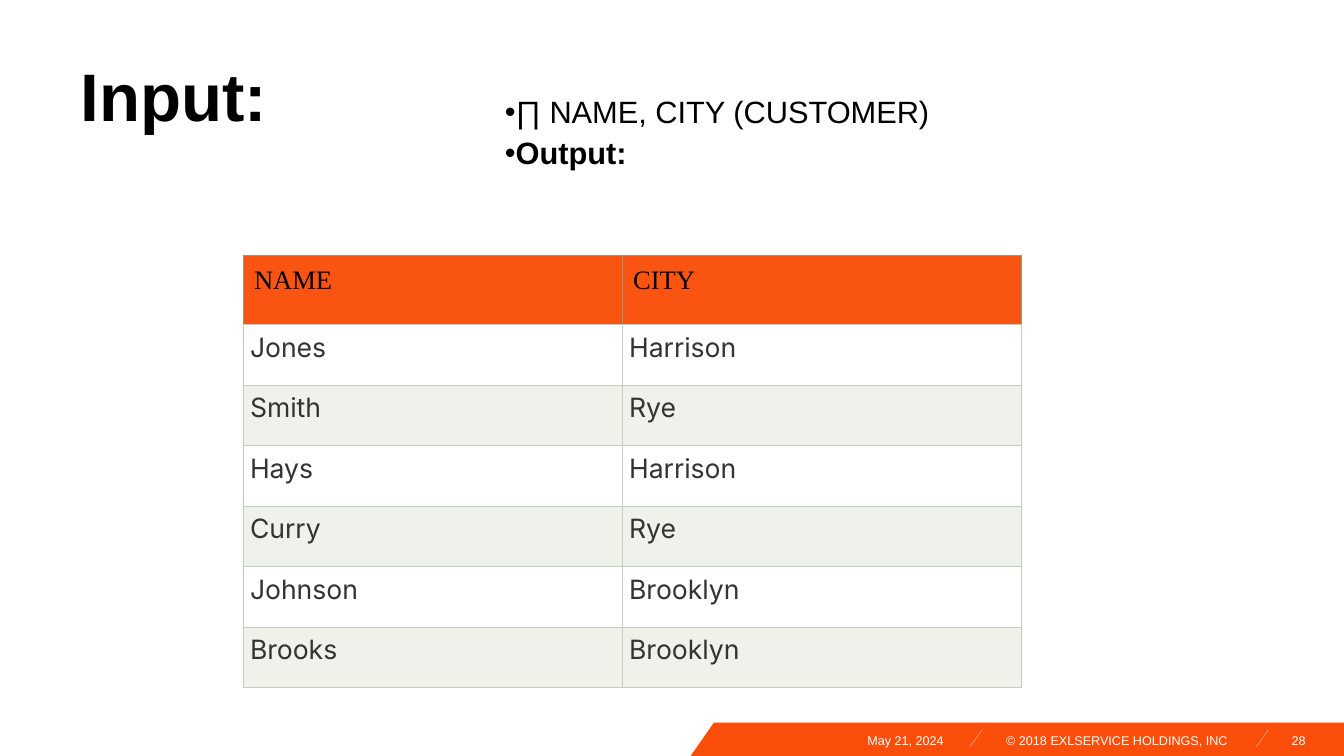
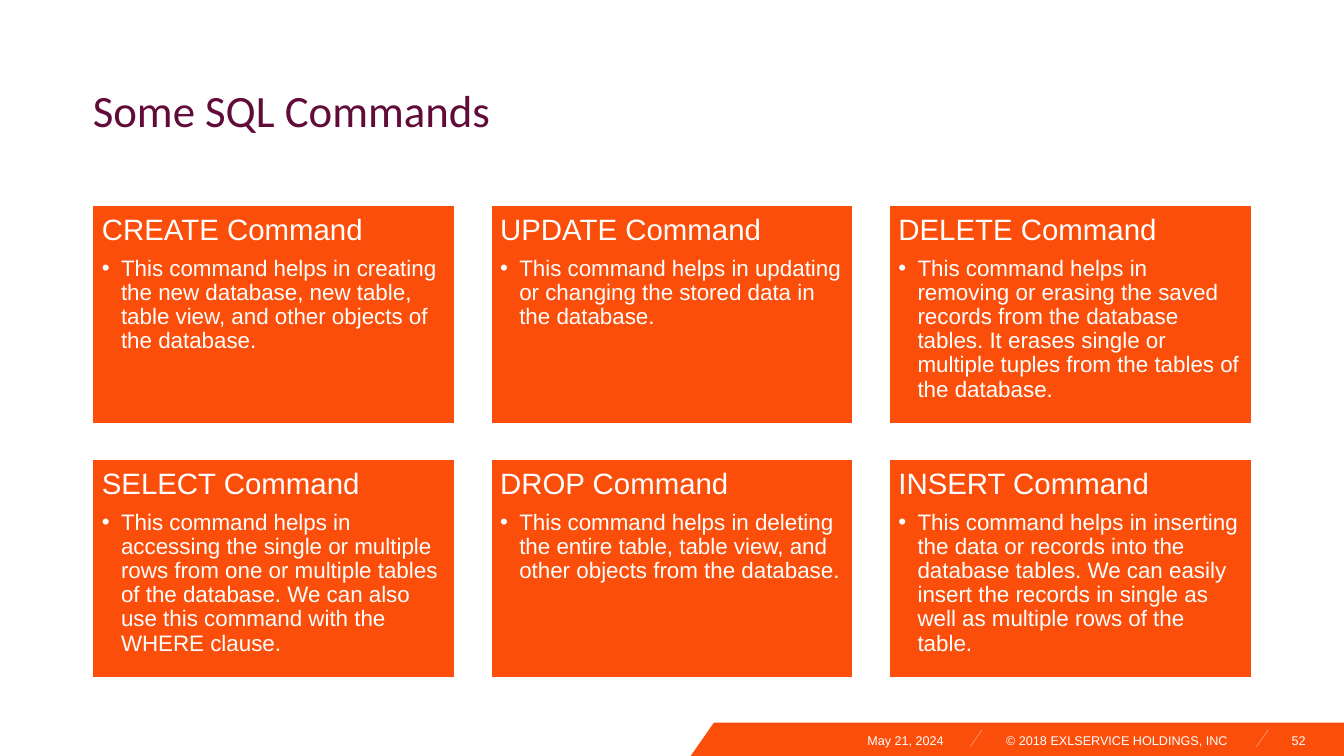
from lxml import etree
from pptx import Presentation
from pptx.dml.color import RGBColor
from pptx.enum.shapes import MSO_CONNECTOR as CONN, MSO_SHAPE as SHAPE
from pptx.enum.text import MSO_ANCHOR as ANCHOR, PP_ALIGN as ALIGN
from pptx.oxml.ns import qn
from pptx.util import Emu, Inches, Pt

# Shared look
SLIDE_W, SLIDE_H = 13.33, 7.5
ORANGE, WHITE, BLACK = "FB4E0B", "FFFFFF", "000000"
FOOTER_RULE = "FC946B"
HEADER_FILL, HEADER_EDGE = "FA5413", "90998A"
BAND_FILL, CELL_EDGE = "EFF1EB", "C7CCBE"

FOOTER = dict(name="Arial", size=9, color=WHITE)
BIG_TITLE = dict(name="Arial", size=48, color=BLACK, bold=True)
PLAIN_TITLE = dict(name="Calibri", size=32, color="610B38", bold=False)
BULLET = dict(name="Arial", size=22, color=BLACK)
TABLE_HEAD = dict(name="Times New Roman", size=19, color=BLACK)
TABLE_BODY = dict(name="Inter", size=19, color="333333")
CARD_HEAD = dict(name="Arial", size=21, color=WHITE)
CARD_BODY = dict(CARD_HEAD, size=16)

# Card grid: three columns, two rows, equal gaps
CARD_COLS, CARD_LEFT, CARD_TOP = 3, 0.92, 2.04
CARD_W, CARD_H, CARD_GAP = 3.59, 2.16, 0.36

CUSTOMERS = [
    ("NAME", "CITY"),
    ("Jones", "Harrison"),
    ("Smith", "Rye"),
    ("Hays", "Harrison"),
    ("Curry", "Rye"),
    ("Johnson", "Brooklyn"),
    ("Brooks", "Brooklyn"),
]

COMMANDS = [
    ("CREATE Command",
     "This command helps in creating the new database, new table, table view, "
     "and other objects of the database."),
    ("UPDATE Command",
     "This command helps in updating or changing the stored data in the database."),
    ("DELETE Command",
     "This command helps in removing or erasing the saved records from the database "
     "tables. It erases single or multiple tuples from the tables of the database."),
    ("SELECT Command",
     "This command helps in accessing the single or multiple rows from one or multiple "
     "tables of the database. We can also use this command with the WHERE clause."),
    ("DROP Command",
     "This command helps in deleting the entire table, table view, and other objects "
     "from the database."),
    ("INSERT Command",
     "This command helps in inserting the data or records into the database tables. "
     "We can easily insert the records in single as well as multiple rows of the table."),
]


def rgb(color):
    return RGBColor.from_string(color)


def box(*lengths):
    return [Inches(v) for v in lengths]


def set_font(font, fmt):
    for key, value in fmt.items():
        if key == "color":
            font.color.rgb = rgb(value)
        else:
            setattr(font, key, Pt(value) if key == "size" else value)


def add_bullet(p, hang):
    pPr = p._p.get_or_add_pPr()
    pPr.set("marL", str(Inches(hang)))
    pPr.set("indent", str(-Inches(hang)))
    etree.SubElement(pPr, qn("a:buFont"), typeface="Arial")
    etree.SubElement(pPr, qn("a:buChar"), char="•")


def write(tf, items, margin=None, anchor=ANCHOR.TOP):
    """Fill a frame; items are (text, font format, paragraph format, bullet hang)."""
    tf.word_wrap = True
    tf.vertical_anchor = anchor
    if margin is not None:
        for side in ("left", "top", "right", "bottom"):
            setattr(tf, f"margin_{side}", Inches(margin))
    for i, (text, fmt, layout, hang) in enumerate(items):
        p = tf.add_paragraph() if i else tf.paragraphs[0]
        for key, value in layout.items():
            setattr(p, key, value)
        if hang is not None:
            add_bullet(p, hang)
        r = p.add_run()
        r.text = text
        set_font(r.font, fmt)


def add_title(s, text, at, fmt, margin=None):
    sp = s.shapes.title
    sp.left, sp.top, sp.width, sp.height = box(*at)
    layout = dict(alignment=ALIGN.LEFT, line_spacing=0.9)
    write(sp.text_frame, [(text, fmt, layout, None)], margin, ANCHOR.MIDDLE)


def add_text(s, at, items, **frame):
    write(s.shapes.add_textbox(*box(*at)).text_frame, items, **frame)


def add_footer(s, number):
    # Slanted band
    top, left, slant = 7.17, 6.85, 0.23
    ff = s.shapes.build_freeform(Inches(left + slant), Inches(top))
    corners = [(SLIDE_W, top), (SLIDE_W, SLIDE_H), (left, SLIDE_H)]
    ff.add_line_segments([box(*c) for c in corners], close=True)
    band = ff.convert_to_shape()
    band.shadow.inherit = False
    band.fill.solid()
    band.fill.fore_color.rgb = rgb(ORANGE)
    band.line.fill.background()
    # Slanted dividers
    for x in (9.74, 12.58):
        rule = s.shapes.add_connector(CONN.STRAIGHT, *box(x, 7.24, x - 0.12, 7.41))
        rule.line.color.rgb = rgb(FOOTER_RULE)
        rule.line.width = Pt(0.5)
        etree.SubElement(rule._element.spPr, qn("a:effectLst"))
    # Date, copyright, page number
    for text, x, w, align in (
        ("May 21, 2024", 7.09, 2.27, ALIGN.RIGHT),
        ("© 2018 EXLSERVICE HOLDINGS, INC", 9.98, 2.27, ALIGN.LEFT),
        (str(number), 12.58, 0.37, ALIGN.RIGHT),
    ):
        add_text(s, (x, 7.27, w, 0.15),
                 [(text, FOOTER, dict(alignment=align), None)], margin=0)


def set_borders(cell, edges):
    tcPr = cell._tc.get_or_add_tcPr()
    for i, (side, color) in enumerate(zip("LRTB", edges)):
        ln = etree.Element(qn(f"a:ln{side}"), w=str(Pt(0.6)))
        fill = etree.SubElement(ln, qn("a:solidFill"))
        etree.SubElement(fill, qn("a:srgbClr"), val=color)
        tcPr.insert(i, ln)


def add_table(s, rows, at, col_widths, row_heights):
    size = (sum(col_widths), sum(row_heights))
    frame = s.shapes.add_table(len(rows), len(col_widths), *box(*at, *size))
    table = frame.table
    table.first_row = table.horz_banding = False
    for col, w in zip(table.columns, col_widths):
        col.width = Inches(w)
    for i, (row, h) in enumerate(zip(table.rows, row_heights)):
        row.height = Inches(h)
        head = i == 0
        fill = HEADER_FILL if head else (BAND_FILL, WHITE)[i % 2]
        edges = [HEADER_EDGE if head else CELL_EDGE] * 3 + [CELL_EDGE]
        for cell, text in zip(row.cells, rows[i]):
            cell.fill.solid()
            cell.fill.fore_color.rgb = rgb(fill)
            for side in ("left", "top", "right", "bottom"):
                setattr(cell, f"margin_{side}", Inches(0.11 if head else 0.07))
            p = cell.text_frame.paragraphs[0]
            p.alignment = ALIGN.LEFT if head else ALIGN.JUSTIFY
            r = p.add_run()
            r.text = text
            set_font(r.font, TABLE_HEAD if head else TABLE_BODY)
            set_borders(cell, edges)


def add_card(s, index, heading, body):
    row, col = divmod(index, CARD_COLS)
    x = CARD_LEFT + col * (CARD_W + CARD_GAP)
    y = CARD_TOP + row * (CARD_H + CARD_GAP)
    sp = s.shapes.add_shape(SHAPE.RECTANGLE, *box(x, y, CARD_W, CARD_H))
    sp.shadow.inherit = False
    sp.fill.solid()
    sp.fill.fore_color.rgb = rgb(ORANGE)
    sp.line.color.rgb = rgb(WHITE)
    sp.line.width = Pt(1)
    layout = dict(alignment=ALIGN.LEFT, line_spacing=0.9)
    write(sp.text_frame, [
        (heading, CARD_HEAD, dict(layout, space_after=Pt(7.5)), None),
        (body, CARD_BODY, layout, 0.19),
    ], margin=0.09)


def new_slide(prs, number):
    s = prs.slides.add_slide(prs.slide_layouts[5])
    add_footer(s, number)
    return s


def projection_slide(prs):
    s = new_slide(prs, 28)
    add_title(s, "Input:", (0.7, 0.37, 3.93, 1.23), BIG_TITLE)
    layout = dict(line_spacing=0.9, space_after=Pt(6))
    lines = [("∏ NAME, CITY (CUSTOMER)", BULLET, layout, 0),
             ("Output:", dict(BULLET, bold=True), layout, 0)]
    add_text(s, (4.91, 0.37, 7.72, 1.92), lines, anchor=ANCHOR.MIDDLE)
    add_table(s, CUSTOMERS, (2.41, 2.53), (3.76, 3.96), [0.69] + [0.6] * 6)


def commands_slide(prs):
    s = new_slide(prs, 52)
    add_title(s, "Some SQL Commands", (0.92, 0.4, 11.5, 1.45), PLAIN_TITLE, margin=0)
    for i, (heading, body) in enumerate(COMMANDS):
        add_card(s, i, heading, body)


def main():
    prs = Presentation()
    prs.slide_width, prs.slide_height = box(SLIDE_W, SLIDE_H)
    projection_slide(prs)
    commands_slide(prs)
    prs.save("out.pptx")


if __name__ == "__main__":
    main()
